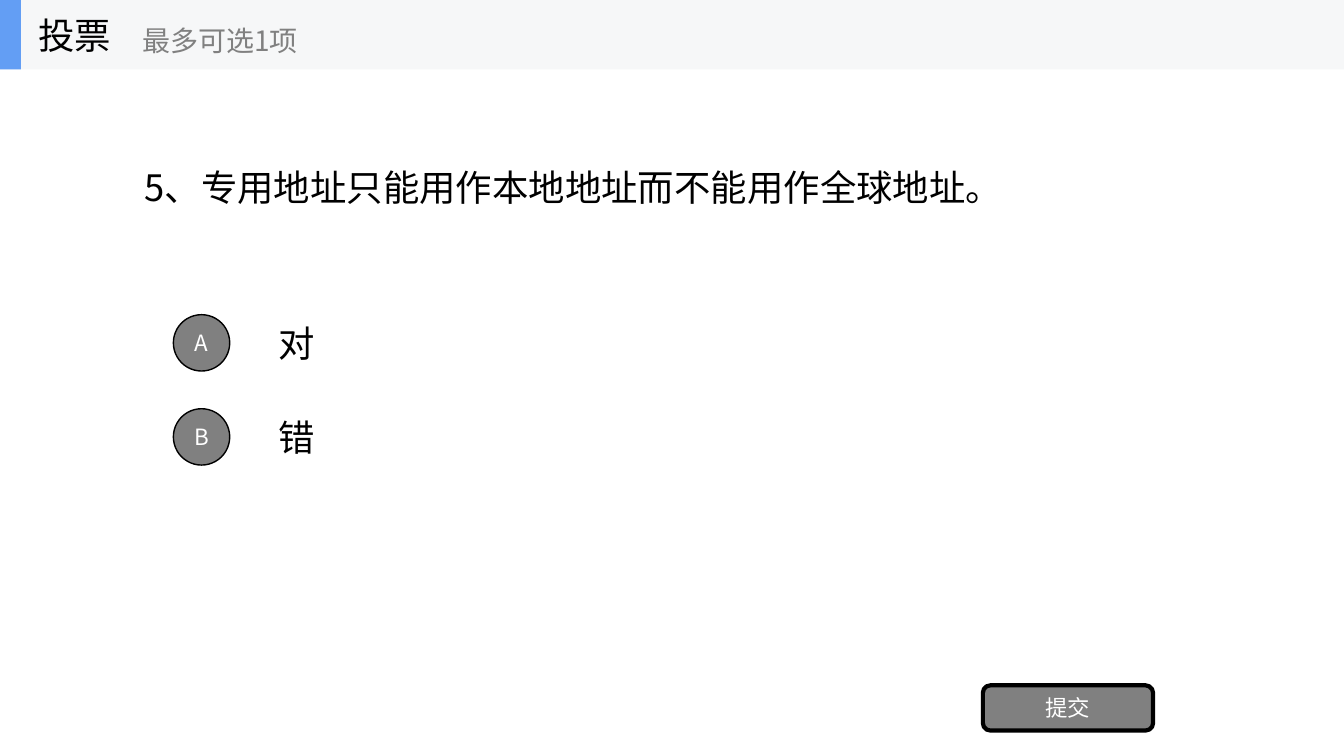
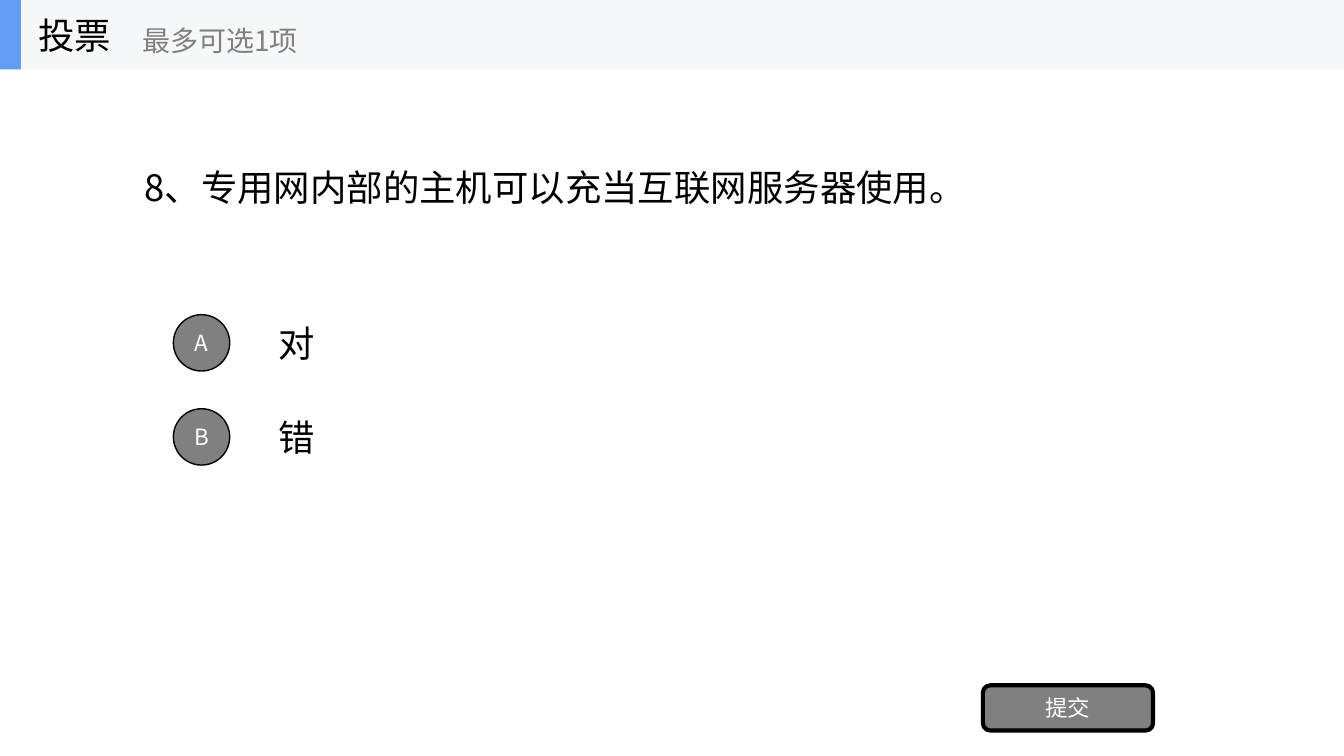
from dataclasses import dataclass

import lxml.etree
import pptx
import pptx.dml.color
import pptx.enum.shapes
import pptx.enum.text
import pptx.oxml.ns
import pptx.util

Cm = pptx.util.Cm
Pt = pptx.util.Pt
Shape = pptx.enum.shapes.MSO_SHAPE
Align = pptx.enum.text.PP_ALIGN


@dataclass(frozen=True)
class Theme:
    font: str = "Noto Sans CJK SC"
    ink: str = "000000"
    muted: str = "808080"
    light: str = "FFFFFF"
    band: str = "F6F7F8"
    accent: str = "639EF4"
    body_size: int = 26
    hint_size: int = 20
    label_size: int = 16


THEME = Theme()

# Layout, in centimetres
PAGE_WIDTH, PAGE_HEIGHT = 33.87, 19.05
BAND_HEIGHT = 1.75
OPTION_TOP, OPTION_HEIGHT, OPTION_PITCH = 7.75, 1.78, 2.37
MARKER_SIZE = 1.42

OPTIONS = ("对", "错")
QUESTIONS = (
    "5、专用地址只能用作本地地址而不能用作全球地址。",
    "8、专用网内部的主机可以充当互联网服务器使用。",
)


def rgb(value):
    return pptx.dml.color.RGBColor.from_string(value)


def write_text(shape, text, size, color, align=Align.LEFT):
    """Put one vertically centred paragraph into a shape."""
    frame = shape.text_frame
    frame.word_wrap = True
    frame.vertical_anchor = pptx.enum.text.MSO_ANCHOR.MIDDLE
    para = frame.paragraphs[0]
    para.text = text
    para.alignment = align
    font = para.font
    font.size = Pt(size)
    font.color.rgb = rgb(color)
    font.name = THEME.font
    # East Asian characters take their own typeface entry
    properties = para._p.pPr.find(pptx.oxml.ns.qn("a:defRPr"))
    east_asian = lxml.etree.SubElement(properties, pptx.oxml.ns.qn("a:ea"))
    east_asian.set("typeface", THEME.font)


def add_text(shapes, place, text, size=THEME.body_size, color=THEME.ink):
    box = shapes.add_textbox(*map(Cm, place))
    write_text(box, text, size, color)


def add_block(shapes, kind, place, fill, line_width=0):
    """Add a filled shape, outlined only when a line width is given."""
    block = shapes.add_shape(kind, *map(Cm, place))
    block.shadow.inherit = False
    block.fill.solid()
    block.fill.fore_color.rgb = rgb(fill)
    if line_width:
        block.line.color.rgb = rgb(THEME.ink)
        block.line.width = Pt(line_width)
    else:
        block.line.fill.background()
    return block


def add_button(shapes, kind, place, label, line_width):
    button = add_block(shapes, kind, place, THEME.muted, line_width)
    write_text(button, label, THEME.label_size, THEME.light, Align.CENTER)
    frame = button.text_frame
    frame.margin_left = frame.margin_right = 0
    frame.margin_top = frame.margin_bottom = 0


def add_header(page):
    header = page.shapes.add_group_shape().shapes
    add_block(header, Shape.RECTANGLE, (0, 0, PAGE_WIDTH, BAND_HEIGHT), THEME.band)
    add_block(header, Shape.RECTANGLE, (0, 0, 0.53, BAND_HEIGHT), THEME.accent)
    add_text(header, (0.71, 0, 5.28, BAND_HEIGHT), "投票")
    add_text(header, (3.33, 0.3, 6.35, 1.42), "最多可选1项",
             THEME.hint_size, THEME.muted)


def add_options(page):
    marker_inset = (OPTION_HEIGHT - MARKER_SIZE) / 2
    for index, (letter, answer) in enumerate(zip("AB", OPTIONS)):
        top = OPTION_TOP + index * OPTION_PITCH
        add_text(page.shapes, (6.77, top, 23.7, OPTION_HEIGHT), answer)
        add_button(page.shapes, Shape.OVAL,
                   (4.37, top + marker_inset, MARKER_SIZE, MARKER_SIZE), letter, 1)


def add_poll(deck, question):
    page = deck.slides.add_slide(deck.slide_layouts[6])
    add_text(page.shapes, (3.39, BAND_HEIGHT, 27.1, 5.94), question)
    add_options(page)
    add_button(page.shapes, Shape.ROUNDED_RECTANGLE,
               (24.77, 17.27, 4.29, 1.14), "提交", 3)
    add_header(page)


def main():
    deck = pptx.Presentation()
    deck.slide_width, deck.slide_height = Cm(PAGE_WIDTH), Cm(PAGE_HEIGHT)
    for question in QUESTIONS:
        add_poll(deck, question)
    deck.save("out.pptx")


if __name__ == "__main__":
    main()
